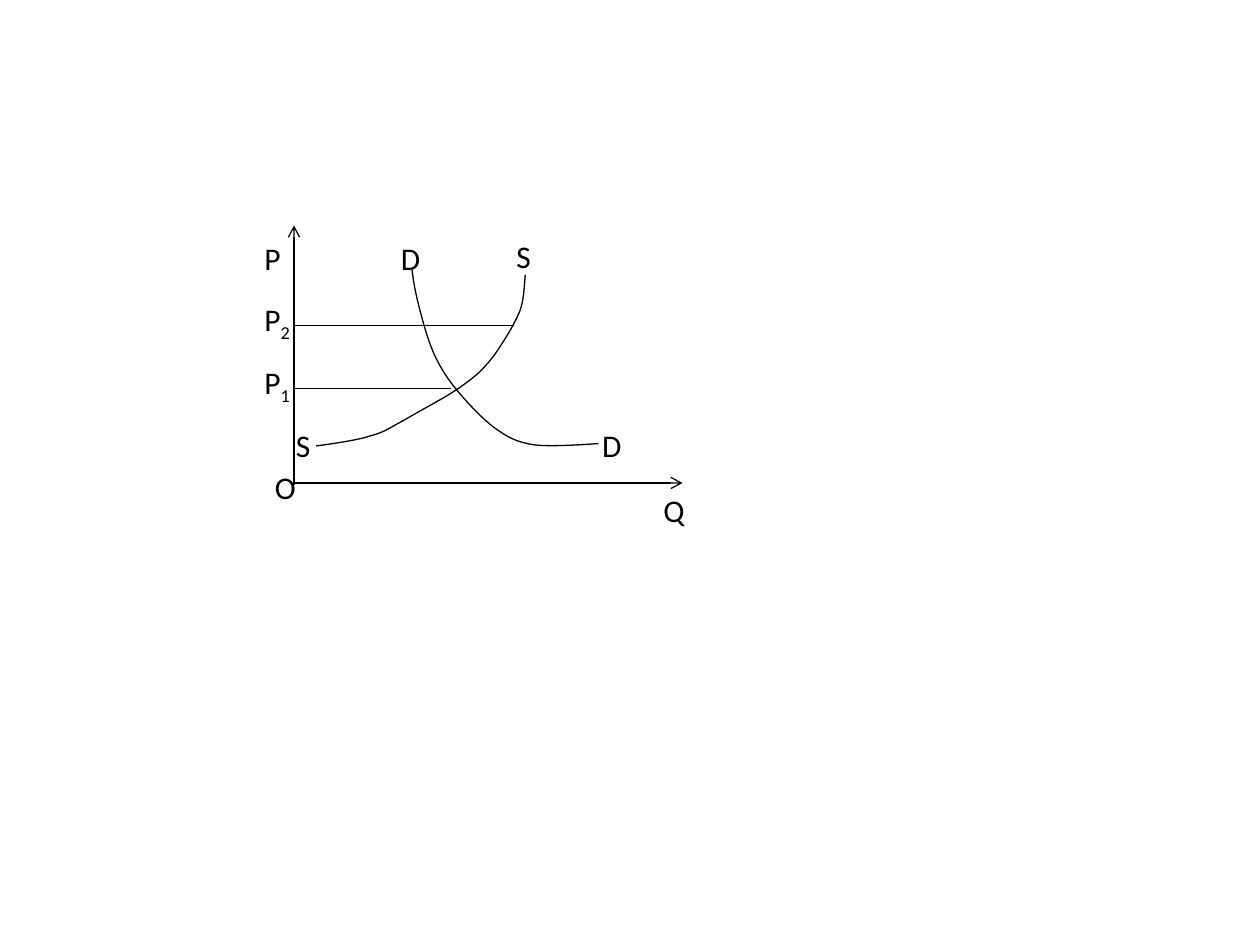
import lxml.etree
import pptx
import pptx.dml.color
import pptx.enum.shapes
import pptx.enum.text
import pptx.oxml.ns
import pptx.util

COLORS = {"ink": "000000", "paper": "FFFFFF"}
LABEL_FONT = {"name": "Calibri", "size": pptx.util.Pt(18)}
LABEL_FRAME = {
    "word_wrap": False,
    "auto_size": pptx.enum.text.MSO_AUTO_SIZE.SHAPE_TO_FIT_TEXT,
}


def inches(*lengths):
    return [pptx.util.Inches(length) for length in lengths]


def grid(steps):
    return steps / 12


def color(name):
    return pptx.dml.color.RGBColor.from_string(COLORS[name])


def apply(target, values):
    for name, value in values.items():
        setattr(target, name, value)


class Diagram:
    def __init__(self, page):
        self.page = page
        page.background.fill.solid()
        page.background.fill.fore_color.rgb = color("paper")

    def stroke(self, shape):
        shape.line.color.rgb = color("ink")
        shape.line.width = pptx.util.Pt(0.75)

    def line(self, start, end, arrow=False):
        connector = self.page.shapes.add_connector(
            pptx.enum.shapes.MSO_CONNECTOR.STRAIGHT, *inches(*start, *end)
        )
        self.stroke(connector)
        qn = pptx.oxml.ns.qn
        properties = connector._element.spPr
        lxml.etree.SubElement(properties, qn("a:effectLst"))
        if arrow:
            outline = properties.find(qn("a:ln"))
            lxml.etree.SubElement(outline, qn("a:tailEnd"), type="arrow")

    def curve(self, start, segments):
        builder = self.page.shapes.build_freeform(*inches(*start))
        builder.add_line_segments(
            [inches(*segment[-1]) for segment in segments], close=False
        )
        shape = builder.convert_to_shape()
        shape.fill.background()
        shape.shadow.inherit = False
        self.stroke(shape)
        qn = pptx.oxml.ns.qn
        straight_parts = list(shape._element.iter(qn("a:lnTo")))
        for part, segment in zip(straight_parts, segments):
            bend = lxml.etree.Element(qn("a:cubicBezTo"))
            for point in segment:
                x, y = inches(*point)
                lxml.etree.SubElement(
                    bend, qn("a:pt"), x=str(x - shape.left), y=str(y - shape.top)
                )
            part.getparent().replace(part, bend)

    def label(self, left, top, width, text, subscript=""):
        box = self.page.shapes.add_textbox(*inches(left, top, width, 0.4))
        apply(box.text_frame, LABEL_FRAME)
        para = box.text_frame.paragraphs[0]
        for words, baseline in ((text, None), (subscript, "-25000")):
            if not words:
                continue
            span = para.add_run()
            span.text = words
            apply(span.font, LABEL_FONT)
            span.font.color.rgb = color("ink")
            if baseline:
                span._r.get_or_add_rPr().set("baseline", baseline)


def main():
    deck = pptx.Presentation()
    deck.slide_width, deck.slide_height = inches(10, 7.5)
    diagram = Diagram(deck.slides.add_slide(deck.slide_layouts[6]))

    axis_left, axis_bottom = grid(28), grid(46)
    demand = [
        ((3.28, 2.22), (3.29, 2.29), (3.32, 2.41)),
        ((3.35, 2.53), (3.4, 2.73), (3.47, 2.86)),
        ((3.53, 2.98), (3.6, 3.07), (3.69, 3.17)),
        ((3.77, 3.26), (3.87, 3.36), (3.96, 3.42)),
        ((4.05, 3.48), (4.11, 3.51), (4.24, 3.53)),
        ((4.38, 3.55), (4.75, 3.52), (4.75, 3.52)),
    ]
    supply = [
        ((4.16, 2.28), (4.16, 2.37), (4.13, 2.46)),
        ((4.09, 2.56), (4.03, 2.66), (3.97, 2.75)),
        ((3.92, 2.83), (3.87, 2.89), (3.8, 2.96)),
        ((3.73, 3.02), (3.65, 3.08), (3.55, 3.14)),
        ((3.45, 3.2), (3.3, 3.28), (3.2, 3.34)),
        ((3.1, 3.39), (3.06, 3.43), (2.94, 3.46)),
        ((2.83, 3.5), (2.51, 3.54), (2.51, 3.54)),
    ]
    diagram.line((axis_left, 3.85), (axis_left, 1.79), arrow=True)
    diagram.line((axis_left, axis_bottom), (grid(65), axis_bottom), arrow=True)
    diagram.line((axis_left, grid(31)), (grid(49), grid(31)))
    diagram.curve((3.27, 2.14), demand)
    diagram.line((axis_left, grid(37)), (grid(43), grid(37)))
    diagram.curve((4.17, 2.18), supply)

    labels = [
        (grid(37), 1.85, 0.36, "D"),
        (4, grid(22), 0.32, "S"),
        (4.68, grid(40), 0.36, "D"),
        (2.25, grid(40), 0.32, "S"),
        (grid(62), 3.85, 0.37, "Q"),
        (grid(25), grid(44), 0.37, "O"),
        (2, 1.85, 0.33, "P"),
        (2, grid(28), 0.42, "P", "2"),
        (2, grid(34), 0.42, "P", "1"),
    ]
    for label in labels:
        diagram.label(*label)

    deck.save("out.pptx")


if __name__ == "__main__":
    main()
